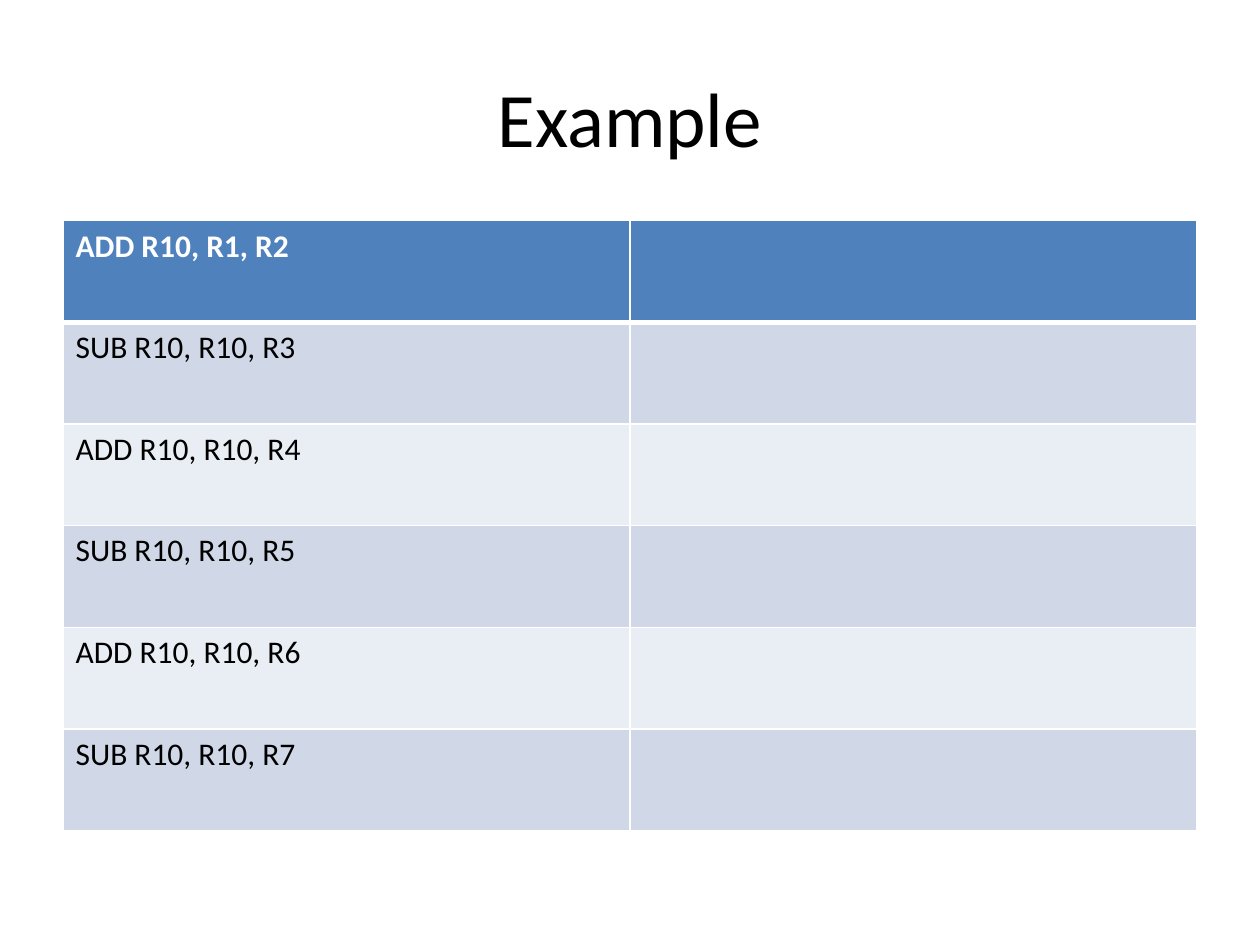
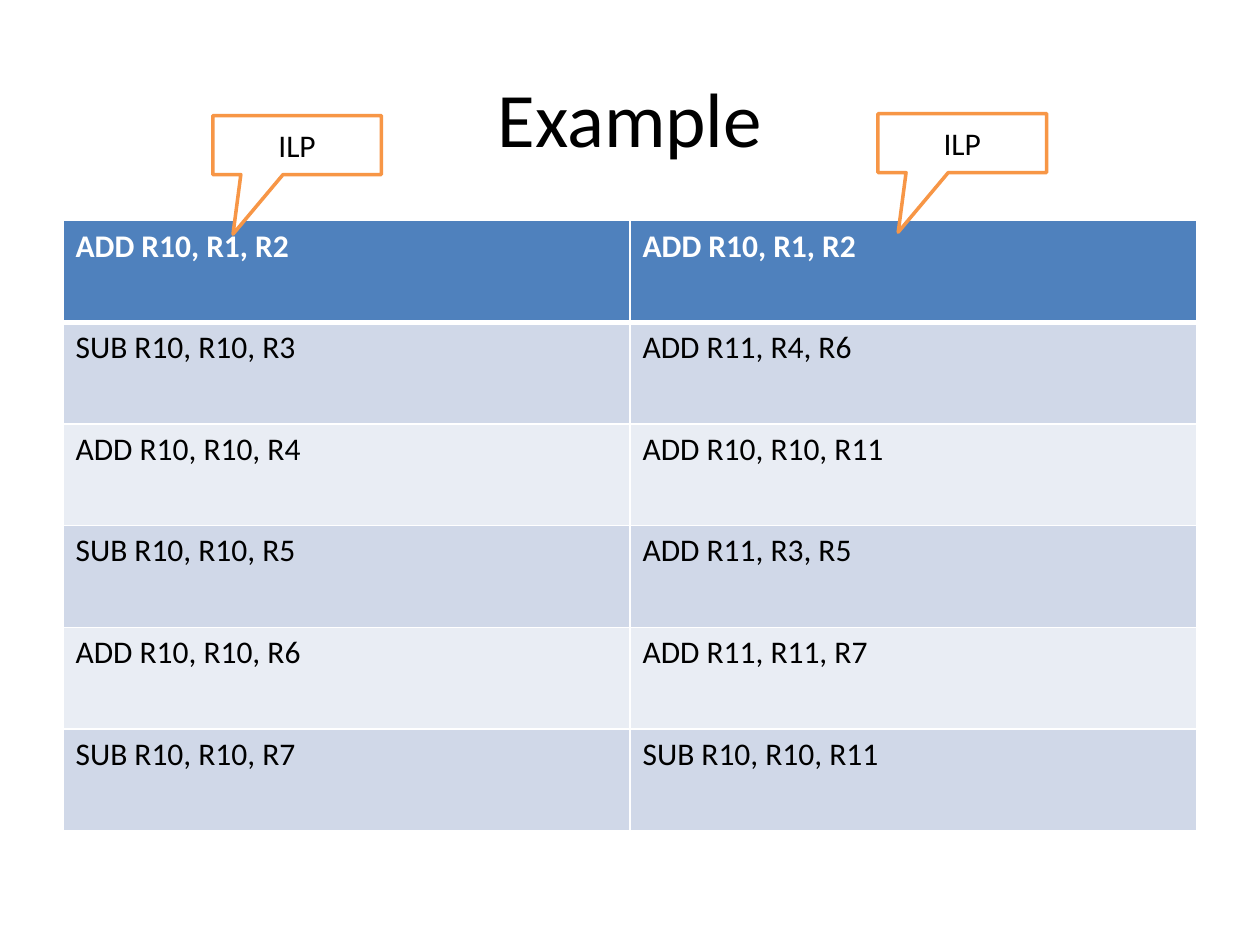
from lxml.etree import SubElement
from pptx import Presentation
from pptx.dml.color import RGBColor
from pptx.enum.shapes import MSO_SHAPE
from pptx.enum.text import MSO_ANCHOR, PP_ALIGN
from pptx.oxml.ns import qn
from pptx.util import Cm, Pt

SEQUENTIAL = ["ADD R10, R1, R2", "SUB R10, R10, R3", "ADD R10, R10, R4",
              "SUB R10, R10, R5", "ADD R10, R10, R6", "SUB R10, R10, R7"]
PARALLEL = ["ADD R10, R1, R2", "ADD R11, R4, R6", "ADD R10, R10, R11",
            "ADD R11, R3, R5", "ADD R11, R11, R7", "SUB R10, R10, R11"]
PAGES = [
    {"title": "Example", "columns": [SEQUENTIAL, [""] * len(SEQUENTIAL)], "callouts": []},
    {"title": "Example", "columns": [SEQUENTIAL, PARALLEL],
     "callouts": [("ILP", 4.29, 2.33), ("ILP", 17.7, 2.29)]},
]

FONT = "Calibri"
WHITE, BLACK, ORANGE = "FFFFFF", "000000", "F79646"
HEADER_FILL, BAND_FILLS = "4F81BD", ["E9EDF4", "D0D8E8"]
LEFT, WIDTH = Cm(1.27), Cm(22.86)
TITLE_TOP, TITLE_HEIGHT = Cm(0.76), Cm(3.18)
TABLE_TOP, ROW_HEIGHT = Cm(4.45), Cm(2.05)
CALLOUT_WIDTH, CALLOUT_HEIGHT = Cm(3.4), Cm(1.19)


def colour(value):
    return RGBColor.from_string(value)


def paint(target, value):
    target.fill.solid()
    target.fill.fore_color.rgb = colour(value)


def format_text(frame, size, value, bold=False, align=None):
    for paragraph in frame.paragraphs:
        paragraph.alignment = align
        for font in [paragraph.font] + [span.font for span in paragraph.runs]:
            font.name, font.size, font.bold = FONT, Pt(size), bold
            font.color.rgb = colour(value)


def add_title(page, text):
    title = page.shapes.title
    title.left, title.top, title.width, title.height = LEFT, TITLE_TOP, WIDTH, TITLE_HEIGHT
    title.text_frame.text = text
    title.text_frame.vertical_anchor = MSO_ANCHOR.MIDDLE
    format_text(title.text_frame, 44, BLACK, align=PP_ALIGN.CENTER)


def set_borders(cell, **widths):
    """Draw white borders; each keyword is a side (L, R, T, B) with its points."""
    properties = cell._tc.get_or_add_tcPr()
    for side, width in widths.items():
        line = SubElement(properties, qn(f"a:ln{side}"), w=str(Pt(width)))
        fill = SubElement(line, qn("a:solidFill"))
        SubElement(fill, qn("a:srgbClr"), val=WHITE)


def add_instruction_table(page, columns):
    row_count = len(columns[0])
    table = page.shapes.add_table(row_count, len(columns), LEFT, TABLE_TOP,
                                  WIDTH, ROW_HEIGHT * row_count).table
    for row in table.rows:
        row.height = ROW_HEIGHT
    for column_index, instructions in enumerate(columns):
        for row_index, instruction in enumerate(instructions):
            header = row_index == 0
            cell = table.cell(row_index, column_index)
            cell.text_frame.text = instruction
            format_text(cell.text_frame, 18, WHITE if header else BLACK, bold=header)
            set_borders(cell, L=1, R=1, T=3 if row_index == 1 else 1, B=3 if header else 1)
            paint(cell, HEADER_FILL if header else BAND_FILLS[row_index % 2])


def add_callout(page, text, left, top):
    callout = page.shapes.add_shape(MSO_SHAPE.RECTANGULAR_CALLOUT, Cm(left), Cm(top),
                                    CALLOUT_WIDTH, CALLOUT_HEIGHT)
    callout.adjustments[0], callout.adjustments[1] = -0.38, 1.51
    callout.shadow.inherit = False
    paint(callout, WHITE)
    callout.line.color.rgb = colour(ORANGE)
    callout.line.width = Pt(2)
    callout.text_frame.text = text
    callout.text_frame.vertical_anchor = MSO_ANCHOR.MIDDLE
    format_text(callout.text_frame, 18, BLACK, align=PP_ALIGN.CENTER)


def main():
    deck = Presentation()
    deck.slide_width, deck.slide_height = Cm(25.4), Cm(19.05)
    title_only = deck.slide_layouts.get_by_name("Title Only")
    for content in PAGES:
        page = deck.slides.add_slide(title_only)
        add_title(page, content["title"])
        add_instruction_table(page, content["columns"])
        for callout in content["callouts"]:
            add_callout(page, *callout)
    deck.save("out.pptx")


if __name__ == "__main__":
    main()
